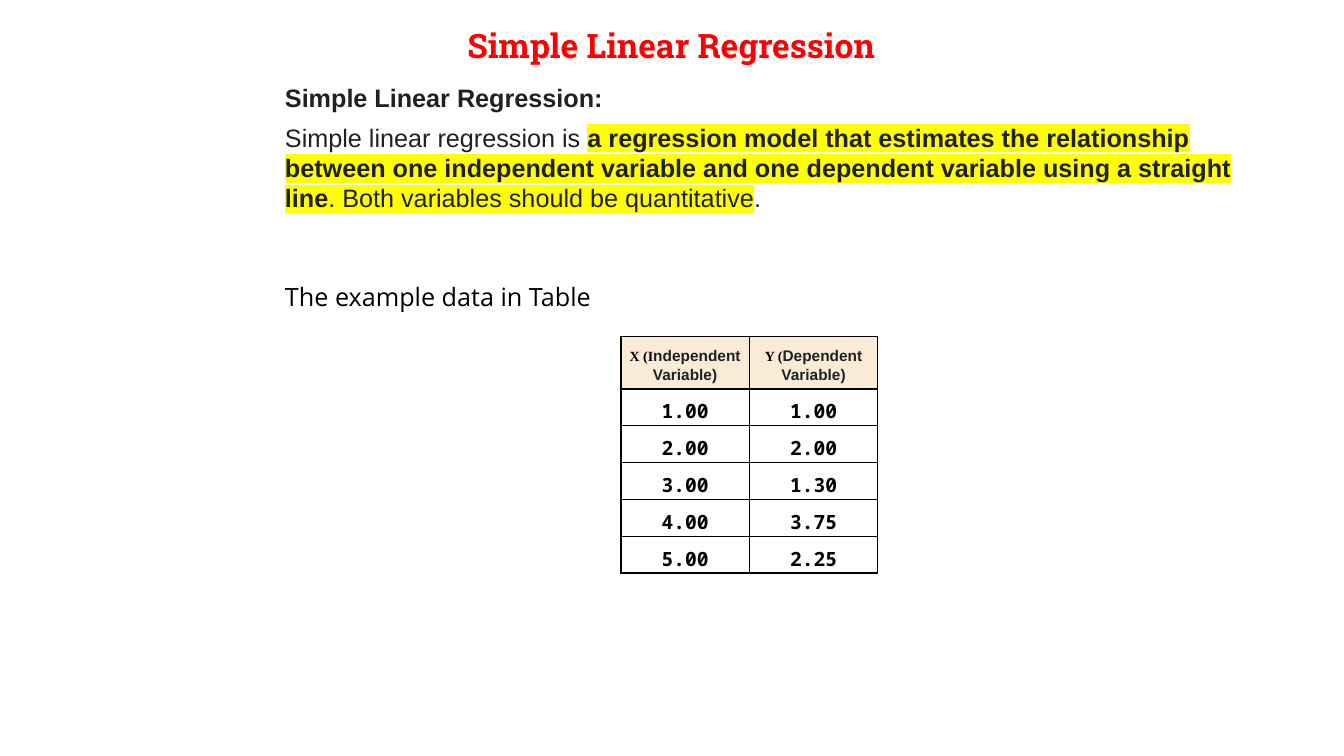
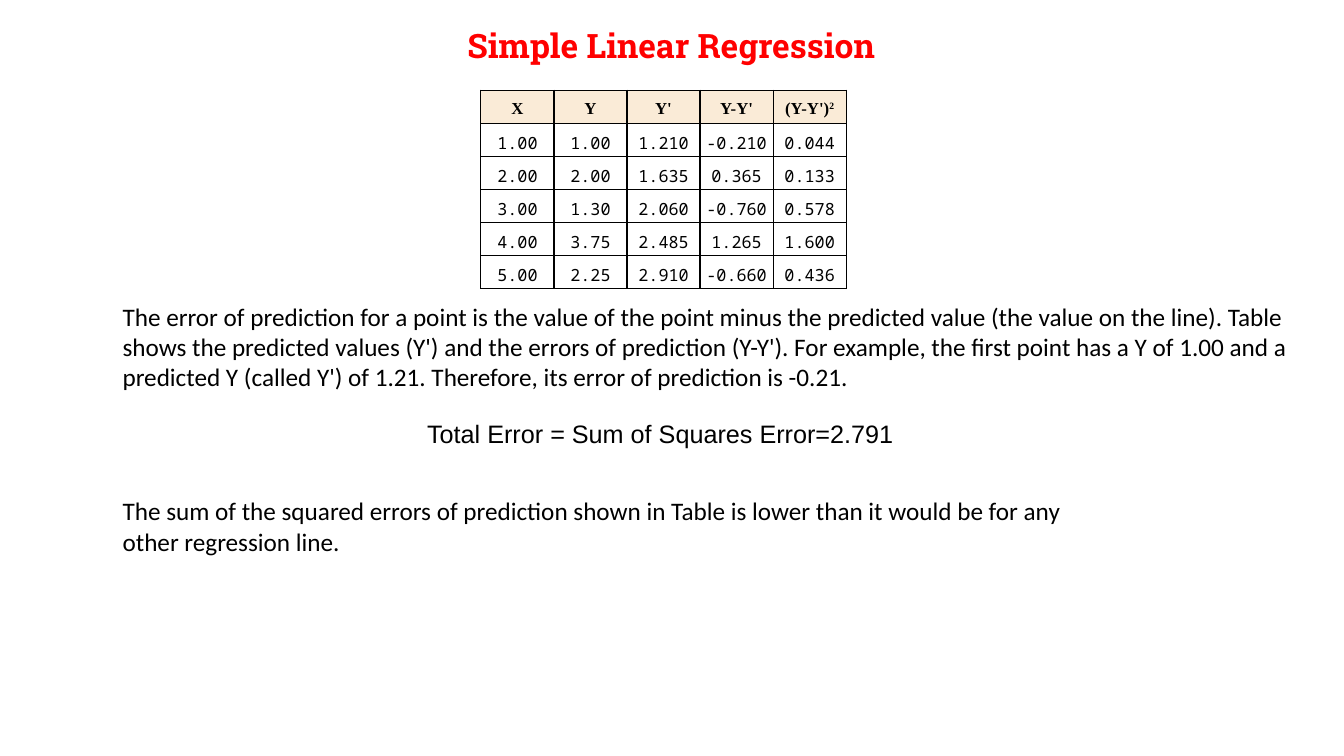
from collections import namedtuple

from lxml.etree import SubElement
from pptx import Presentation
from pptx.dml.color import RGBColor
from pptx.enum.text import MSO_ANCHOR as Anchor, MSO_AUTO_SIZE as AutoSize, PP_ALIGN as Align
from pptx.oxml.ns import qn
from pptx.util import Pt

BLACK = RGBColor(0x00, 0x00, 0x00)
WHITE = RGBColor(0xFF, 0xFF, 0xFF)
RED = RGBColor(0xFF, 0x00, 0x00)
INK = RGBColor(0x20, 0x21, 0x24)
CREAM = RGBColor(0xFA, 0xEB, 0xD7)
YELLOW = RGBColor(0xFF, 0xFF, 0x00)

Style = namedtuple("Style", "name size color bold", defaults=(BLACK, False))
Span = namedtuple("Span", "text style highlight raised", defaults=(None, None, False))
Note = namedtuple("Note", "spans box style wrap", defaults=(True,))
Grid = namedtuple("Grid", "rows corner column row_height head_style body_style")

TITLE = "Simple Linear Regression"
TITLE_BOX = (245, 10, 469, 38)
TITLE_STYLE = Style("Roboto Slab", 24, RED, True)

PLAIN = Style("Arial", 18, INK)
STRONG = PLAIN._replace(bold=True)
READING = Style("Calibri", 18)
SYMBOL = Style("Times New Roman", 10, BLACK, True)
HEADING = Style("Arial", 11, INK, True)

LINE_SPACING = 1.15
CELL_MARGIN = 3.5
BORDERS = ("a:lnL", "a:lnR", "a:lnT", "a:lnB")

SLIDES = [
    {
        "notes": [
            Note([Span("Simple Linear Regression:")], (196.5, 55, 249, 29), STRONG, False),
            Note([
                Span("Simple linear regression is\u00a0", PLAIN),
                Span("a regression model that estimates the relationship between one independent "
                     "variable and one dependent variable using a straight line", STRONG, YELLOW),
                Span(". Both variables should be quantitative", PLAIN, YELLOW),
                Span(".", PLAIN),
            ], (196.5, 83.5, 700, 73), PLAIN),
            Note([Span("The example data in Table")], (196.5, 197.5, 268, 29),
                 Style("Open Sans", 18), False),
        ],
        "grid": Grid([
            [[Span("X (I", SYMBOL), Span("ndependent Variable)", HEADING)],
             [Span("Y (", SYMBOL), Span("Dependent Variable)", HEADING)]],
            ["1.00", "1.00"],
            ["2.00", "2.00"],
            ["3.00", "1.30"],
            ["4.00", "3.75"],
            ["5.00", "2.25"],
        ], (443.5, 240.5), 91.8, 26, HEADING, Style("Noto Sans Mono", 14, BLACK, True)),
    },
    {
        "notes": [
            Note([Span("The error of prediction for a point is the value of the point minus the "
                       "predicted value (the value on the line). Table shows the predicted values "
                       "(Y') and the errors of prediction (Y-Y'). For example, the first point has "
                       "a Y of 1.00 and a predicted Y (called Y') of 1.21. Therefore, its error of "
                       "prediction is -0.21.")], (80.5, 211.5, 888.5, 73), READING),
            Note([Span("Total Error = Sum of Squares Error=2.791")], (298, 295, 351, 29),
                 Style("Arial", 18), False),
            Note([Span("The sum of the squared errors of prediction shown in Table is lower than "
                       "it would be for any other regression line.")],
                 (80.5, 350.5, 726, 51), READING),
        ],
        "grid": Grid([
            ["X", "Y", "Y'", "Y-Y'", [Span("(Y-Y')"), Span("2", raised=True)]],
            ["1.00", "1.00", "1.210", "-0.210", "0.044"],
            ["2.00", "2.00", "1.635", "0.365", "0.133"],
            ["3.00", "1.30", "2.060", "-0.760", "0.578"],
            ["4.00", "3.75", "2.485", "1.265", "1.600"],
            ["5.00", "2.25", "2.910", "-0.660", "0.436"],
        ], (343.5, 64.5), 52.2, 23, Style("Times New Roman", 12, BLACK, True),
            Style("Noto Sans Mono", 12)),
    },
]


def set_font(font, style):
    font.name, font.size, font.bold = style.name, Pt(style.size), style.bold
    font.color.rgb = style.color


def add_color(parent, tag, color):
    SubElement(SubElement(parent, qn(tag)), qn("a:srgbClr"), val=str(color))


def write(para, spans, style):
    """Fill a paragraph; a span with its own style overrides the paragraph's."""
    set_font(para.font, style)
    for span in spans:
        run = para.add_run()
        run.text = span.text
        if span.style:
            set_font(run.font, span.style)
        props = run._r.get_or_add_rPr()
        if span.raised:
            props.set("baseline", "30000")
        if span.highlight:
            add_color(props, "a:highlight", span.highlight)
            props.find(qn("a:solidFill")).addnext(props[-1])


def add_title(page):
    title = page.shapes.title
    title.left, title.top, title.width, title.height = map(Pt, TITLE_BOX)
    frame = title.text_frame
    frame.vertical_anchor = Anchor.TOP
    frame.auto_size = AutoSize.NONE
    para = frame.paragraphs[0]
    para.alignment, para.line_spacing = Align.CENTER, LINE_SPACING
    write(para, [Span(TITLE)], TITLE_STYLE)


def add_note(page, note):
    frame = page.shapes.add_textbox(*map(Pt, note.box)).text_frame
    frame.word_wrap = note.wrap
    frame.auto_size = AutoSize.SHAPE_TO_FIT_TEXT
    write(frame.paragraphs[0], note.spans, note.style)


def add_borders(cell):
    props = cell._tc.get_or_add_tcPr()
    for place, tag in enumerate(BORDERS):
        line = SubElement(props, qn(tag), w=str(Pt(1)))
        add_color(line, "a:solidFill", BLACK)
        props.insert(place, line)


def add_grid(page, grid):
    row_count, column_count = len(grid.rows), len(grid.rows[0])
    size = (grid.column * column_count, grid.row_height * row_count)
    table = page.shapes.add_table(row_count, column_count, *map(Pt, grid.corner + size)).table
    table.first_row = table.horz_banding = False
    for r, row in enumerate(grid.rows):
        is_head = r == 0
        for c, content in enumerate(row):
            cell = table.cell(r, c)
            cell.margin_left = cell.margin_right = Pt(CELL_MARGIN)
            cell.margin_top = cell.margin_bottom = Pt(CELL_MARGIN)
            cell.vertical_anchor = Anchor.BOTTOM if is_head else Anchor.MIDDLE
            cell.fill.solid()
            cell.fill.fore_color.rgb = CREAM if is_head else WHITE
            add_borders(cell)
            para = cell.text_frame.paragraphs[0]
            para.alignment, para.line_spacing = Align.CENTER, LINE_SPACING
            spans = [Span(content)] if isinstance(content, str) else content
            write(para, spans, grid.head_style if is_head else grid.body_style)


def main():
    deck = Presentation()
    deck.slide_width, deck.slide_height = Pt(960), Pt(540)
    title_only = deck.slide_layouts[5]
    for content in SLIDES:
        page = deck.slides.add_slide(title_only)
        add_title(page)
        for note in content["notes"]:
            add_note(page, note)
        add_grid(page, content["grid"])
    deck.save("out.pptx")


if __name__ == "__main__":
    main()
